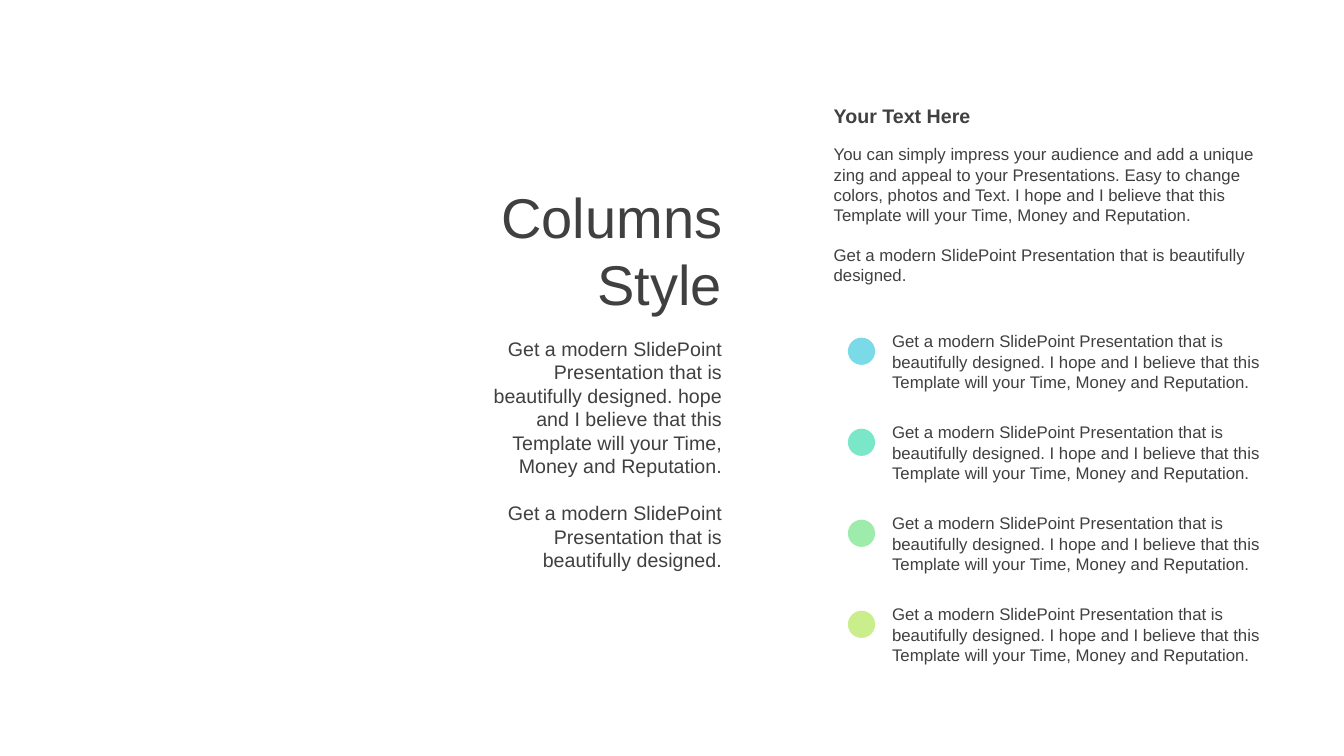
"""Build the Columns Style slide: a right-aligned title column beside a dotted list."""
from pptx import Presentation
from pptx.dml.color import RGBColor
from pptx.enum.shapes import MSO_SHAPE
from pptx.enum.text import MSO_ANCHOR, MSO_AUTO_SIZE, PP_ALIGN
from pptx.util import Inches, Pt

COLORS = {
    "text": "404040",
    "blue": "7ADAE8",
    "teal": "7AE8C8",
    "green": "9EECAC",
    "lime": "CAEE8C",
}
DESIGNED = "Get a modern SlidePoint Presentation that is beautifully designed."
BELIEF = "I believe that this Template will your Time, Money and Reputation."
IMPRESS = (
    "You can simply impress your audience and add a unique zing and appeal to your "
    "Presentations. Easy to change colors, photos and Text. I hope and "
)

presentation = Presentation()
presentation.slide_width = Inches(13.33)
presentation.slide_height = Inches(7.5)
slide = presentation.slides.add_slide(presentation.slide_layouts[6])


def add_text(left, top, width, height, paragraphs, size,
             align=PP_ALIGN.LEFT, anchor=MSO_ANCHOR.TOP, bold=False):
    """Add a wrapped text box with a one-line gap between paragraphs."""
    box = slide.shapes.add_textbox(Inches(left), Inches(top), Inches(width), Inches(height))
    frame = box.text_frame
    frame.word_wrap = True
    frame.auto_size = MSO_AUTO_SIZE.SHAPE_TO_FIT_TEXT
    frame.vertical_anchor = anchor
    frame.text = "\n".join(paragraphs)
    for index, paragraph in enumerate(frame.paragraphs):
        paragraph.alignment = align
        if index:
            paragraph.space_before = Pt(size * 1.2)
        for run in paragraph.runs:
            run.font.name = "Arial"
            run.font.size = Pt(size)
            run.font.bold = bold
            run.font.color.rgb = RGBColor.from_string(COLORS["text"])


add_text(4.55, 1.75, 2.71, 1.45, ["Columns Style"], 40, PP_ALIGN.RIGHT, MSO_ANCHOR.MIDDLE)
add_text(4.55, 3.29, 2.71, 2.46, [f"{DESIGNED} hope and {BELIEF}", DESIGNED], 14, PP_ALIGN.RIGHT)
add_text(8.17, 0.98, 4.48, 0.34, ["Your Text Here"], 14, bold=True)
add_text(8.17, 1.38, 4.48, 1.51, [IMPRESS + BELIEF, DESIGNED], 12)

for row, dot_color in enumerate(("blue", "teal", "green", "lime")):
    row_top = 3.23 + row * 0.903
    dot = slide.shapes.add_shape(
        MSO_SHAPE.OVAL, Inches(8.41), Inches(row_top + 0.12), Inches(0.27), Inches(0.27)
    )
    dot.shadow.inherit = False
    dot.fill.solid()
    dot.fill.fore_color.rgb = RGBColor.from_string(COLORS[dot_color])
    dot.line.fill.background()
    add_text(8.75, row_top, 3.9, 0.71, [f"{DESIGNED} I hope and {BELIEF}"], 12,
             anchor=MSO_ANCHOR.MIDDLE)

presentation.save("out.pptx")
